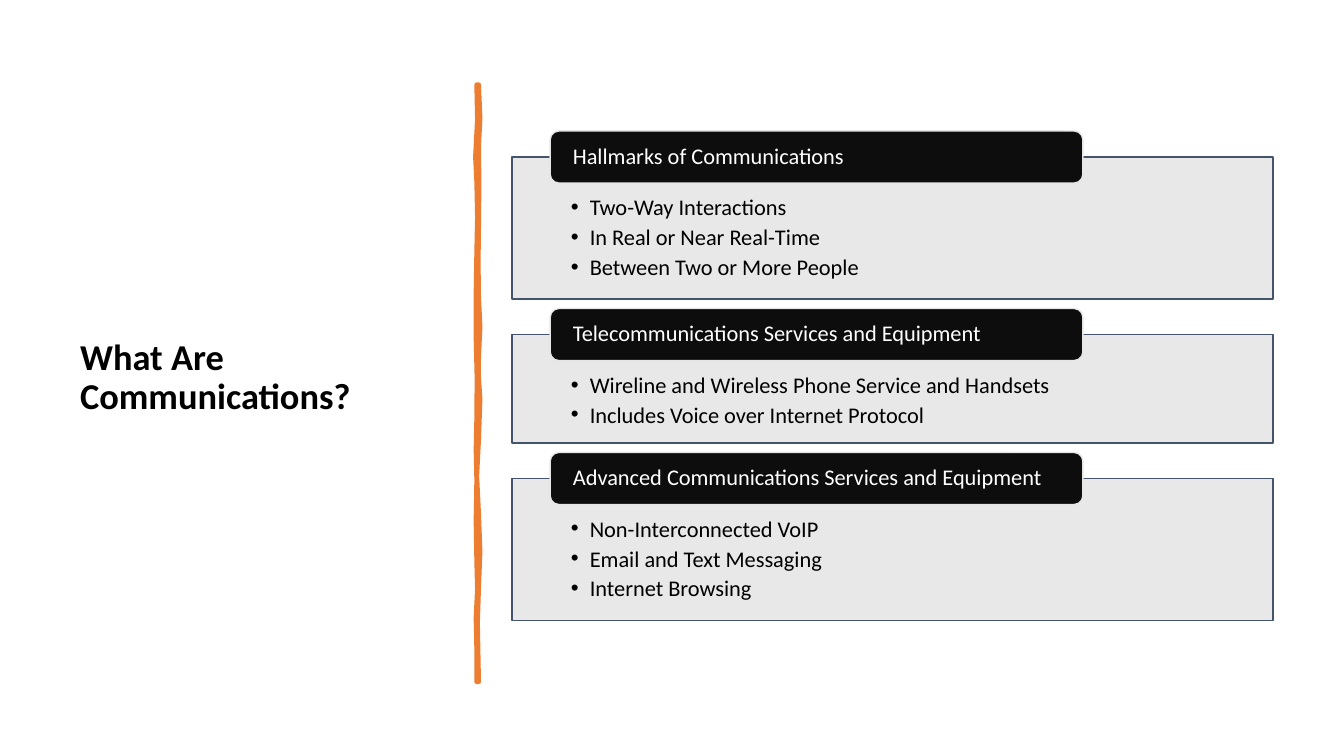
import pptx
import pptx.dml.color
import pptx.enum.shapes
import pptx.enum.text
import pptx.oxml.ns
import pptx.util
from lxml import etree

Pt = pptx.util.Pt
RGB = pptx.dml.color.RGBColor
Anchor = pptx.enum.text.MSO_ANCHOR
qn = pptx.oxml.ns.qn

BLACK = RGB(0x00, 0x00, 0x00)
WHITE = RGB(0xFF, 0xFF, 0xFF)
ORANGE = RGB(0xED, 0x7D, 0x31)
GREY = RGB(0xE7, 0xE6, 0xE6)
NAVY = RGB(0x44, 0x54, 0x6A)
INK = RGB(0x0D, 0x0D, 0x0D)
FONT = "Calibri"

LEFT, TOP, WIDTH = 365.6, 112.2, 543.6
GAP = 25.4
TAB_LEFT, TAB_WIDTH, TAB_HIGH = 393, 380.5, 37.2

# Each group: heading, panel height, list items
GROUPS = [
    ("Hallmarks of Communications", 101.4,
     ["Two-Way Interactions", "In Real or Near Real-Time",
      "Between Two or More People"]),
    ("Telecommunications Services and Equipment", 77.4,
     ["Wireline and Wireless Phone Service and Handsets",
      "Includes Voice over Internet Protocol"]),
    ("Advanced Communications Services and Equipment", 101.4,
     ["Non-Interconnected VoIP", "Email and Text Messaging",
      "Internet Browsing"]),
]

# Right edge runs down, left edge runs back up
STROKE = [
    (342, 60.5), (343, 84), (342, 105), (342.3, 131), (342, 163),
    (341.7, 187), (342, 212), (343, 233), (342, 256), (342, 270),
    (343, 285), (342, 314), (340.7, 340), (342, 367), (343, 394),
    (342, 420), (341.2, 445), (342, 487),
    (340.5, 487), (340.5, 464), (340, 441), (341, 421), (340.5, 401),
    (340, 372), (340.5, 343), (340, 321), (340.5, 299), (340.7, 270),
    (340, 241), (340, 210), (340.5, 180), (341, 155), (340.5, 130),
    (339.6, 112), (341, 85), (340.5, 60.5),
]


def place(shape, left, top, width, height):
    shape.left, shape.top = Pt(left), Pt(top)
    shape.width, shape.height = Pt(width), Pt(height)


def paint(shape, fill, line, size):
    shape.fill.solid()
    shape.fill.fore_color.rgb = fill
    shape.line.color.rgb = line
    shape.line.width = Pt(size)


def set_frame(shape, anchor, left, top, right, bottom):
    frame = shape.text_frame
    frame.word_wrap = True
    frame.auto_size = pptx.enum.text.MSO_AUTO_SIZE.NONE
    frame.vertical_anchor = anchor
    frame.margin_left, frame.margin_top = Pt(left), Pt(top)
    frame.margin_right, frame.margin_bottom = Pt(right), Pt(bottom)
    return frame


def add_run(para, text, size, color, bold=False):
    para.alignment = pptx.enum.text.PP_ALIGN.LEFT
    para.space_before = Pt(0)
    run = para.add_run()
    run.text = text
    run.font.name = FONT
    run.font.size = Pt(size)
    run.font.bold = bold
    run.font.color.rgb = color


def add_bullet(para):
    props = para._p.get_or_add_pPr()
    props.set("marL", str(Pt(13.5)))
    props.set("indent", str(Pt(-13.5)))
    etree.SubElement(props, qn("a:buFont"), typeface="Arial")
    etree.SubElement(props, qn("a:buChar"), char="•")


def fill_title(title):
    place(title, 50, 50.4, 269, 440)
    frame = set_frame(title, Anchor.MIDDLE, 7.2, 3.6, 7.2, 3.6)
    para = frame.paragraphs[0]
    para.line_spacing = 0.9
    add_run(para, "What Are Communications?", 26, BLACK, True)


def draw_stroke(slide):
    """Draw the brushed divider beside the title."""
    points = [(Pt(x), Pt(y)) for x, y in STROKE]
    pen = slide.shapes.build_freeform(*points[0])
    pen.add_line_segments(points[1:], close=True)
    shape = pen.convert_to_shape()
    shape.shadow.inherit = False
    paint(shape, ORANGE, ORANGE, 3.25)
    etree.SubElement(shape.line._get_or_add_ln(), qn("a:round"))


def fill_panel(panel, top, height, items):
    place(panel, LEFT, top, WIDTH, height)
    paint(panel, GREY, NAVY, 1)
    tint = panel.fill._xPr.find(".//" + qn("a:srgbClr"))
    etree.SubElement(tint, qn("a:alpha"), val="90000")
    frame = set_frame(panel, Anchor.TOP, 42.2, 26, 42.2, 8.5)
    for n, item in enumerate(items):
        para = frame.add_paragraph() if n else frame.paragraphs[0]
        para.line_spacing = 1.0
        para.space_after = Pt(2.1)
        add_run(para, item, 16, BLACK)
        add_bullet(para)


def add_tab(slide, top, text):
    """Add the dark heading that straddles a panel's top edge."""
    tab = slide.shapes.add_shape(
        pptx.enum.shapes.MSO_SHAPE.ROUNDED_RECTANGLE,
        Pt(TAB_LEFT), Pt(top), Pt(TAB_WIDTH), Pt(TAB_HIGH))
    tab.shadow.inherit = False
    paint(tab, INK, GREY, 1)
    # The frame insets by the corner rounding as well
    frame = set_frame(tab, Anchor.MIDDLE, 14.4, 0, 14.4, 0)
    para = frame.paragraphs[0]
    para.line_spacing = 0.9
    add_run(para, text, 16, WHITE)


def main():
    deck = pptx.Presentation()
    deck.slide_width, deck.slide_height = Pt(960), Pt(540)
    slide = deck.slides.add_slide(deck.slide_layouts[4])
    fill_title(slide.shapes.title)
    draw_stroke(slide)

    bodies = [p for p in slide.placeholders
              if 1 <= p.placeholder_format.idx <= 4]
    top = TOP
    for body, (head, height, items) in zip(bodies, GROUPS):
        fill_panel(body, top, height, items)
        add_tab(slide, top - TAB_HIGH / 2, head)
        top += height + GAP
    for spare in bodies[len(GROUPS):]:
        spare.element.getparent().remove(spare.element)

    deck.save("out.pptx")


if __name__ == "__main__":
    main()
